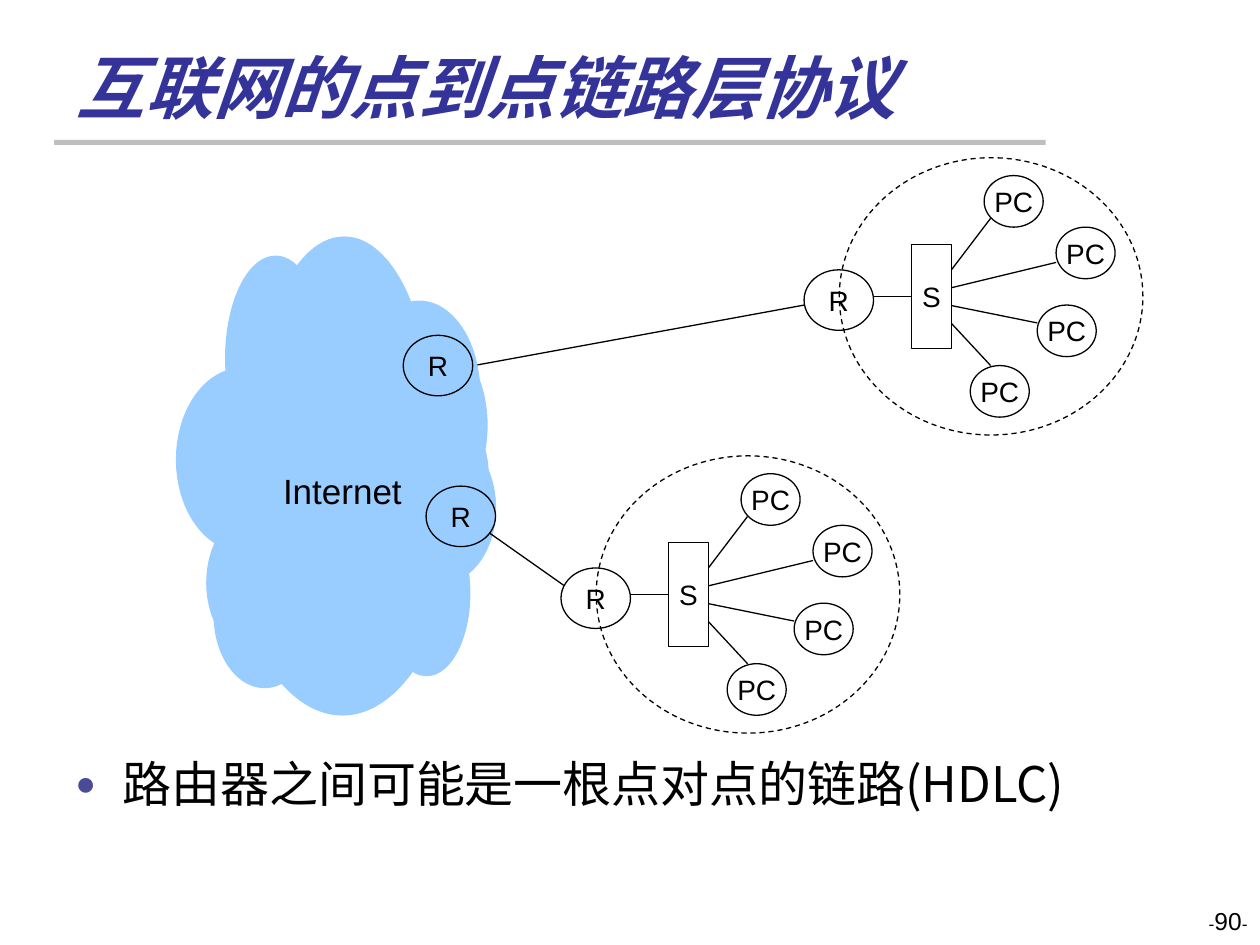
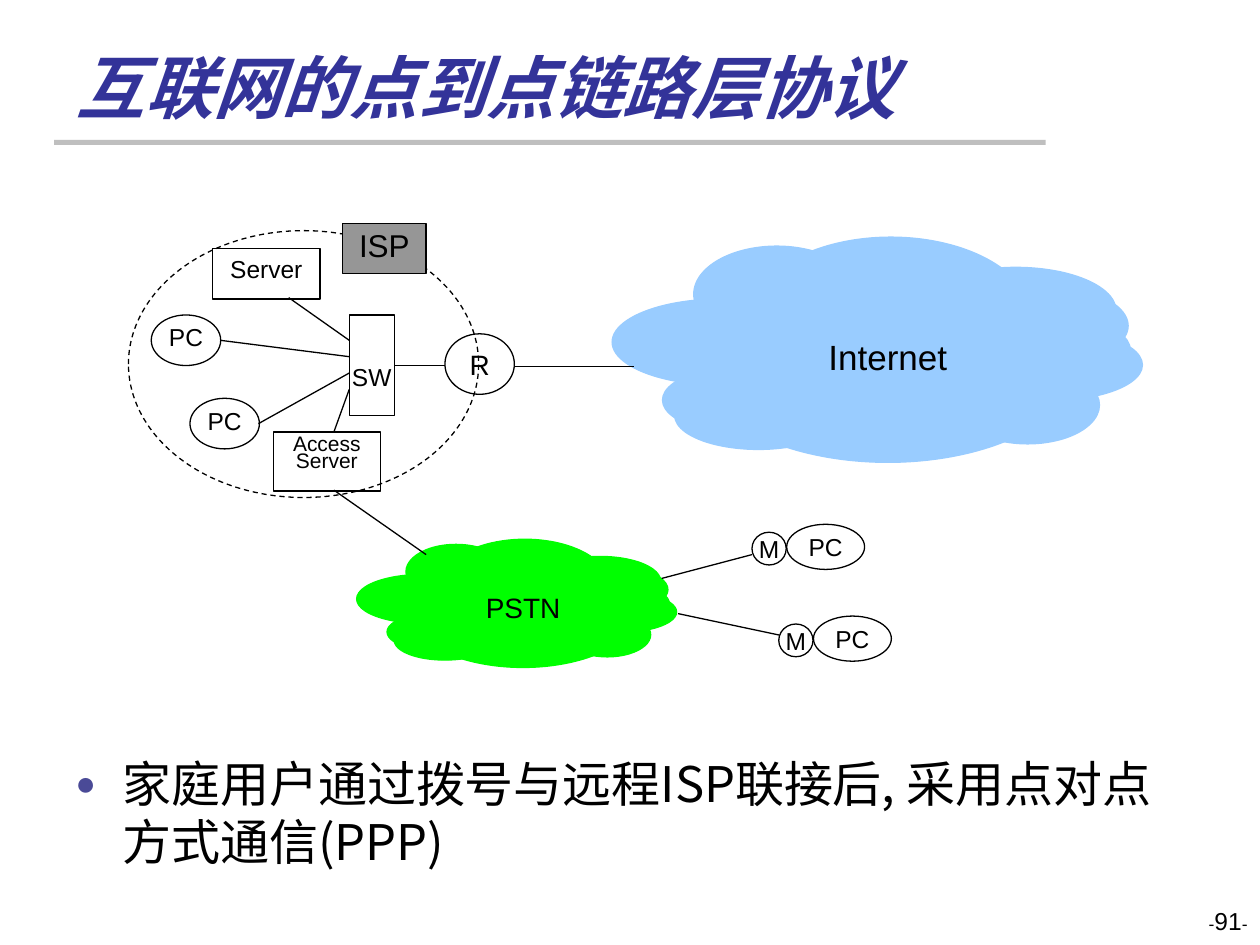
from lxml.etree import SubElement
from pptx import Presentation
from pptx.dml.color import RGBColor
from pptx.enum.dml import MSO_LINE
from pptx.enum.shapes import MSO_CONNECTOR, MSO_SHAPE
from pptx.enum.text import MSO_ANCHOR, PP_ALIGN
from pptx.oxml.ns import qn
from pptx.util import Cm, Pt

BLACK = RGBColor(0x00, 0x00, 0x00)
TITLE_BLUE = RGBColor(0x33, 0x33, 0x99)
BULLET_BLUE = RGBColor(0x4A, 0x4A, 0x97)
RULE_GRAY = RGBColor(0xBF, 0xBF, 0xBF)
TAG_GRAY = RGBColor(0x96, 0x96, 0x96)
SKY = RGBColor(0x99, 0xCC, 0xFF)
GREEN = RGBColor(0x00, 0xFF, 0x00)

LABEL_FONT, TITLE_FONT, BODY_FONT = "Arial", "Calibri", "Noto Sans CJK SC"
TITLE = "互联网的点到点链路层协议"
OVAL, RECT = MSO_SHAPE.OVAL, MSO_SHAPE.RECTANGLE
ROUTER_SIZE = (1.4, 1.22)

# Cloud lobes in percent of the cloud's box: left, top, width, height
SINGLE_LOBES = [(15.4, 4, 31.3, 42.6), (0, 27.4, 41.3, 38.2),
                (25.7, 0, 53.7, 73.7)]
DOUBLE_LOBES = [(9.5, 57.1, 31.6, 30.2), (13.5, 4, 72.4, 89),
                (57.2, 13.4, 37.8, 38.2), (63.7, 34.2, 34, 31.3),
                (62.5, 50.4, 27.1, 34.4)]
LOBE_SHIFT = (2.3, 6.8)


def style_font(font, name, size, color=BLACK):
    font.name, font.size = name, Pt(size)
    font.color.rgb = color


def set_east_asian_font(span, name):
    SubElement(span.font._element, qn("a:ea")).set("typeface", name)


def set_margins(frame, left=0, top=0, right=0, bottom=0):
    frame.margin_left, frame.margin_top = Cm(left), Cm(top)
    frame.margin_right, frame.margin_bottom = Cm(right), Cm(bottom)


def add_text_box(page, left, top, width, height):
    box = page.shapes.add_textbox(Cm(left), Cm(top), Cm(width), Cm(height))
    box.text_frame.word_wrap = True
    return box.text_frame


def add_label(frame, text, size, line_spacing=1.0, wrap=False):
    frame.text = text
    frame.word_wrap = wrap
    frame.vertical_anchor = MSO_ANCHOR.MIDDLE
    para = frame.paragraphs[0]
    para.alignment = PP_ALIGN.CENTER
    para.line_spacing = line_spacing
    style_font(para.runs[0].font, LABEL_FONT, size)


def add_node(page, kind, left, top, width, height, text="", size=16,
             fill=None, line=BLACK):
    node = page.shapes.add_shape(kind, Cm(left), Cm(top), Cm(width), Cm(height))
    node.shadow.inherit = False
    if fill is None:
        node.fill.background()
    else:
        node.fill.solid()
        node.fill.fore_color.rgb = fill
    node.line.color.rgb = line
    node.line.width = Pt(0.75)
    if text:
        set_margins(node.text_frame)
        add_label(node.text_frame, text, size)
    return node


def add_router(page, left, top):
    add_node(page, OVAL, left, top, *ROUTER_SIZE, "R")


def add_dashed_area(page, left, top, width, height):
    area = add_node(page, OVAL, left, top, width, height)
    area.line.dash_style = MSO_LINE.DASH


def add_link(page, start, end, origin=(0, 0)):
    x, y = origin
    link = page.shapes.add_connector(
        MSO_CONNECTOR.STRAIGHT, Cm(x + start[0]), Cm(y + start[1]),
        Cm(x + end[0]), Cm(y + end[1]))
    link.line.color.rgb = BLACK
    link.line.width = Pt(0.75)
    SubElement(link._element.spPr, qn("a:effectLst"))


def add_cloud(page, left, top, width, height, color, text, size):
    shifted = [(x + LOBE_SHIFT[0], y + LOBE_SHIFT[1], w, h)
               for x, y, w, h in DOUBLE_LOBES]
    for x, y, w, h in SINGLE_LOBES + DOUBLE_LOBES + shifted:
        add_node(page, OVAL, left + width * x / 100, top + height * y / 100,
                 width * w / 100, height * h / 100, fill=color, line=color)
    # The name sits just below the middle
    name_width, name_height = width / 2, 1
    frame = add_text_box(page, left + width * 0.52 - name_width / 2,
                         top + height * 0.53 - name_height / 2,
                         name_width, name_height)
    set_margins(frame)
    add_label(frame, text, size, wrap=True)


def add_lan(page, left, top):
    """Office network: router, switch and four computers."""
    add_dashed_area(page, left, top, 6.12, 5.59)
    add_node(page, RECT, left + 1.46, top + 1.75, 0.8, 2.1, "S")
    add_link(page, (0.69, 2.79), (1.46, 2.79), (left, top))
    computers = [((2.92, 0.36), (3.05, 1.22)), ((4.37, 1.4), (4.37, 2.11)),
                 ((3.99, 2.97), (3.99, 3.33)), ((2.64, 4.19), (3.05, 4.19))]
    for port, ((x, y), end) in enumerate(computers):
        add_node(page, OVAL, left + x, top + y, 1.19, 1.04, "PC")
        add_link(page, (2.26, 2.26 + 0.36 * port), end, (left, top))
    add_router(page, left - 0.71, top + 2.26)


def add_provider(page, left, top):
    """Provider network: servers and computers around a switch."""
    add_router(page, left + 6.38, top + 2.08)
    add_dashed_area(page, left, top, 7.06, 5.38)
    switch = add_node(page, RECT, left + 4.45, top + 1.7, 0.91, 2.03, "SW", 14)
    set_margins(switch.text_frame, top=0.45)
    add_link(page, (5.36, 2.72), (6.38, 2.72), (left, top))
    for x, y in [(0.46, 1.7), (1.24, 3.38)]:
        computer = add_node(page, OVAL, left + x, top + y, 1.4, 1.02, "PC", 14)
        set_margins(computer.text_frame, bottom=0.13)
    server = add_node(page, RECT, left + 1.7, top + 0.36, 2.16, 1.02,
                      "Server", 14)
    set_margins(server.text_frame, bottom=0.2)
    starts = [(3.23, 1.35), (1.85, 2.21), (2.62, 3.89), (4.14, 4.06)]
    for port, start in enumerate(starts):
        add_link(page, start, (4.45, 2.21 + 0.33 * port), (left, top))
    tag = add_node(page, RECT, left + 4.32, top - 0.15, 1.68, 1.02, "ISP", 18,
                   fill=TAG_GRAY)
    set_margins(tag.text_frame, bottom=0.13)
    access = add_node(page, RECT, left + 2.92, top + 4.06, 2.16, 1.19)
    set_margins(access.text_frame, top=0.1)
    add_label(access.text_frame, "Access Server", 12, 0.7, wrap=True)
    access.text_frame.vertical_anchor = MSO_ANCHOR.TOP


def add_home(page, left, top):
    """Home user: a modem beside a computer."""
    add_node(page, OVAL, left, top + 0.16, 0.69, 0.66, "M", 14)
    add_node(page, OVAL, left + 0.7, top, 1.57, 0.91, "PC", 14)


def add_title(page):
    rule = add_node(page, RECT, 1.09, 2.82, 19.99, 0.1, fill=RULE_GRAY)
    rule.line.fill.background()
    frame = add_text_box(page, 1.3, 0.71, 20.96, 1.98)
    frame.vertical_anchor = MSO_ANCHOR.BOTTOM
    frame.text = TITLE
    span = frame.paragraphs[0].runs[0]
    style_font(span.font, TITLE_FONT, 39, TITLE_BLUE)
    span.font.bold = span.font.italic = True
    set_east_asian_font(span, BODY_FONT)


def add_bullet(page, text):
    frame = add_text_box(page, 1.27, 15.21, 22.86, 2.72)
    set_margins(frame, left=0.25, right=0.25)
    frame.text = text
    para = frame.paragraphs[0]
    para.line_spacing = Pt(33.2)
    props = para._p.get_or_add_pPr()
    props.set("marL", str(Cm(0.95)))
    props.set("indent", str(-Cm(0.95)))
    color = SubElement(props, qn("a:buClr"))
    SubElement(color, qn("a:srgbClr")).set("val", str(BULLET_BLUE))
    SubElement(props, qn("a:buSzPct")).set("val", "70000")
    SubElement(props, qn("a:buFont")).set("typeface", LABEL_FONT)
    SubElement(props, qn("a:buChar")).set("char", "●")
    span = para.runs[0]
    style_font(span.font, BODY_FONT, 28)
    set_east_asian_font(span, BODY_FONT)


def add_page_number(page, number):
    frame = add_text_box(page, 19.48, 18.14, 5.92, 0.91)
    para = frame.paragraphs[0]
    para.alignment = PP_ALIGN.RIGHT
    for text, size in [("-", 10), (str(number), 14), ("-", 10)]:
        span = para.add_run()
        span.text = text
        style_font(span.font, LABEL_FONT, size)


def add_page(deck, number, bullet):
    page = deck.slides.add_slide(deck.slide_layouts[6])
    add_title(page)
    add_bullet(page, bullet)
    add_page_number(page, number)
    return page


def build_router_page(deck):
    page = add_page(deck, 90, "路由器之间可能是一根点对点的链路(HDLC)")
    add_link(page, (9.55, 7.37), (16.21, 6.15))
    add_cloud(page, 3.56, 4.78, 6.43, 9.65, SKY, "Internet", 20)
    add_router(page, 8.13, 6.76)
    add_router(page, 8.59, 9.8)
    add_lan(page, 16.92, 3.18)
    add_lan(page, 12.02, 9.19)
    add_link(page, (9.86, 10.74), (11.38, 11.81))


def build_dial_up_page(deck):
    page = add_page(deck, 91,
                    "家庭用户通过拨号与远程ISP联接后, 采用点对点方式通信(PPP)")
    add_cloud(page, 12.34, 4.78, 10.69, 4.55, SKY, "Internet", 20)
    add_provider(page, 2.59, 4.65)
    add_cloud(page, 7.19, 10.87, 6.45, 2.59, GREEN, "PSTN", 16)
    add_home(page, 15.16, 10.57)
    add_home(page, 15.7, 12.42)
    # Router to Internet, access server to PSTN, PSTN to the homes
    for start, end in [((10.36, 7.39), (12.78, 7.39)),
                       ((6.73, 9.88), (8.59, 11.18)),
                       ((13.34, 11.66), (15.16, 11.18)),
                       ((13.67, 12.37), (15.7, 12.8))]:
        add_link(page, start, end)


def main():
    deck = Presentation()
    deck.slide_width, deck.slide_height = Cm(25.4), Cm(19.05)
    build_router_page(deck)
    build_dial_up_page(deck)
    deck.save("out.pptx")


if __name__ == "__main__":
    main()
